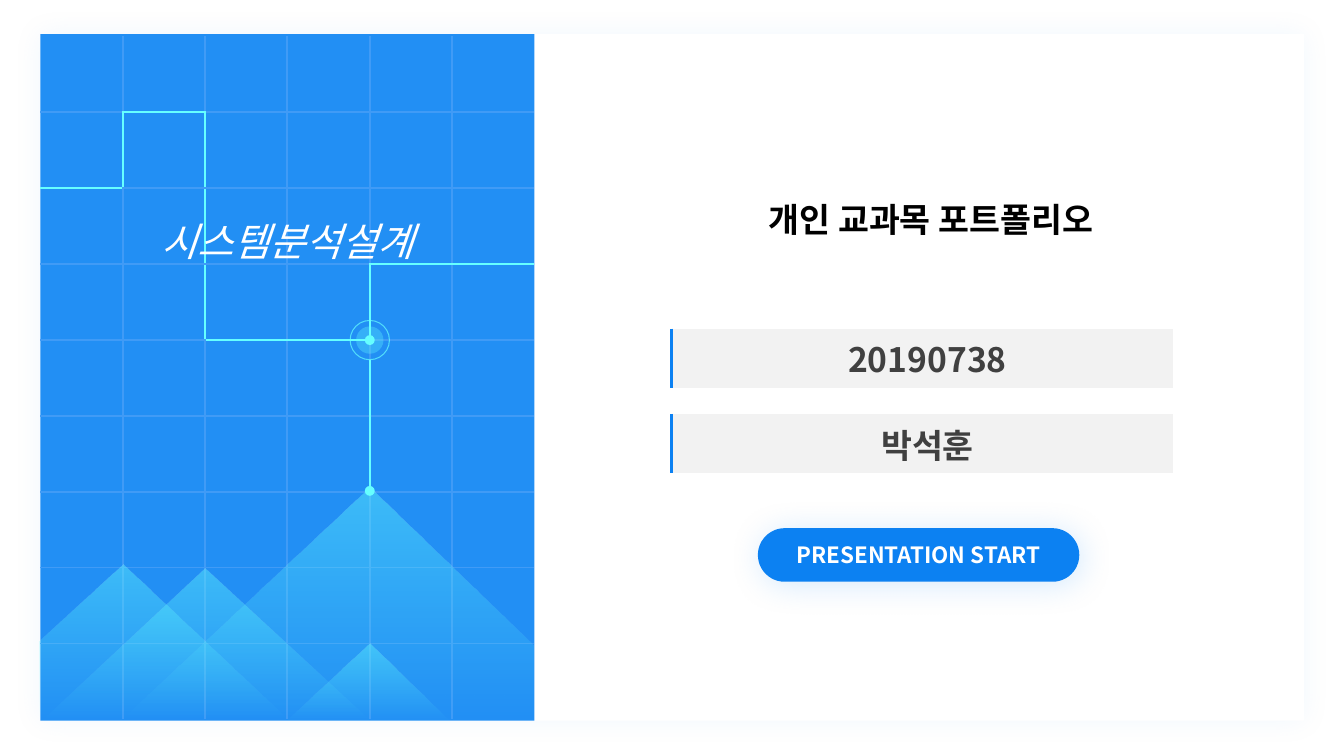
from dataclasses import dataclass
from pptx import Presentation as Deck
from pptx.dml.color import RGBColor as Rgb
from pptx.enum.shapes import MSO_CONNECTOR as Link, MSO_SHAPE as Kind
from pptx.enum.text import MSO_ANCHOR as Anchor, MSO_AUTO_SIZE as Fit, PP_ALIGN as Align
from pptx.oxml import parse_xml as to_xml
from pptx.oxml.ns import nsdecls as spaces, qn
from pptx.util import Cm, Pt


@dataclass(frozen=True)
class Theme:
    font: str = "Noto Sans CJK KR"
    white: str = "FFFFFF"
    black: str = "000000"
    ink: str = "404040"
    pale: str = "F2F2F2"
    blue: str = "0C81F2"
    panel: str = "228FF4"
    mesh: str = "409BF6"
    glow: str = "66FFFF"
    big: int = 28
    mid: int = 24
    small: int = 16
    plain: str = "{2D5ABB26-0587-4C30-8999-92F81FD0307C}"


def tint(color, alpha):
    return f'<a:srgbClr val="{color}"><a:alpha val="{alpha * 1000}"/></a:srgbClr>'


class Pen:
    def __init__(self, slide, theme):
        self.slide = slide
        self.shapes = slide.shapes
        self.theme = theme

    def node(self, tag, body="", **attrs):
        pairs = "".join(f' {key}="{val}"' for key, val in attrs.items())
        return to_xml(f'<a:{tag} {spaces("a")}{pairs}>{body}</a:{tag}>')

    def fade(self, fill, alpha):
        color = fill._xPr.find(".//" + qn("a:srgbClr"))
        color.append(self.node("alpha", val=alpha * 1000))

    def shape(self, kind, x, y, w, h, fill=None, line=None, alpha=100):
        item = self.shapes.add_shape(kind, Cm(x), Cm(y), Cm(w), Cm(h))
        item.shadow.inherit = False
        if fill:
            item.fill.solid()
            item.fill.fore_color.rgb = Rgb.from_string(fill)
            self.fade(item.fill, alpha)
        else:
            item.fill.background()
        if line:
            item.line.width = Pt(0.75)
            item.line.color.rgb = Rgb.from_string(line)
            self.fade(item.line.fill, alpha)
        else:
            item.line.fill.background()
        return item

    def disc(self, x, y, size, **look):
        return self.shape(Kind.OVAL, x - size / 2, y - size / 2, size, size, **look)

    def shade(self, item, alpha, blur, dist=0, angle=0):
        effects = item._element.spPr.find(qn("a:effectLst"))
        effects.append(self.node(
            "outerShdw", tint(self.theme.blue, alpha), blurRad=Pt(blur),
            dist=Pt(dist), dir=angle * 60000, algn="ctr", rotWithShape=0))

    def label(self, frame, words, size, color, bold=False, slant=False):
        para = frame.paragraphs[0]
        para.alignment = Align.CENTER
        run = para.add_run()
        run.text = words
        font = run.font
        font.size, font.bold, font.italic = Pt(size), bold, slant
        font.color.rgb = Rgb.from_string(color)
        font.name = self.theme.font
        font._rPr.append(self.node("ea", typeface=self.theme.font))
        return para

    def text(self, x, y, w, h, words, size, color, **look):
        frame = self.shapes.add_textbox(Cm(x), Cm(y), Cm(w), Cm(h)).text_frame
        frame.word_wrap = True
        frame.auto_size = Fit.SHAPE_TO_FIT_TEXT
        return self.label(frame, words, size, color, **look)

    def line(self, x1, y1, x2, y2, color):
        item = self.shapes.add_connector(Link.STRAIGHT, Cm(x1), Cm(y1), Cm(x2), Cm(y2))
        item.line.width = Pt(1.5)
        item.line.color.rgb = Rgb.from_string(color)
        item._element.spPr.append(self.node("effectLst"))

    def peak(self, *points):
        first, *rest = [(Cm(x), Cm(y)) for x, y in points]
        outline = self.shapes.build_freeform(*first)
        outline.add_line_segments(rest, close=True)
        item = outline.convert_to_shape()
        item.shadow.inherit = False
        item.line.fill.background()
        item.fill.gradient()
        item.fill.gradient_angle = 270
        stops = item._element.spPr.find(".//" + qn("a:gsLst"))
        for stop, alpha in zip(list(stops), (41, 0)):
            stops.replace(stop, self.node(
                "gs", tint(self.theme.glow, alpha), pos=0 if alpha else 100000))

    def table(self, x, y, cols, rows):
        grid = self.shapes.add_table(len(rows), len(cols), Cm(x), Cm(y),
                                     Cm(sum(cols)), Cm(sum(rows))).table
        grid.first_row = grid.horz_banding = False
        grid._tbl.tblPr.find(qn("a:tableStyleId")).text = self.theme.plain
        for col, width in zip(grid.columns, cols):
            col.width = Cm(width)
        for row, height in zip(grid.rows, rows):
            row.height = Cm(height)
        for cell in grid.iter_cells():
            cell.fill.background()
            cell.margin_top = cell.margin_bottom = 0
            end = self.node("endParaRPr", sz=800)
            cell.text_frame.paragraphs[0]._p.append(end)
        return grid

    def edge(self, cell, sides, width):
        props = cell._tc.get_or_add_tcPr()
        drawn = [(side, sides[side]) for side in "LRTB" if sides.get(side)]
        for spot, (side, color) in enumerate(drawn):
            body = f'<a:solidFill><a:srgbClr val="{color}"/></a:solidFill>'
            props.insert(spot, self.node("ln" + side, body, w=Pt(width)))

    def mesh(self, x, y, w, h, cols, rows, flat, tall):
        look = self.theme
        grid = self.table(x, y, [w / cols] * cols, [h / rows] * rows)

        def tone(spot, lit, last):
            if 0 < spot[0] < last:
                return look.glow if spot in lit else look.mesh

        for r in range(rows):
            for c in range(cols):
                self.edge(grid.cell(r, c), {
                    "L": tone((c, r), tall, cols), "R": tone((c + 1, r), tall, cols),
                    "T": tone((r, c), flat, rows), "B": tone((r + 1, c), flat, rows)}, 1.5)

    def fields(self, x, y, width, rows, words):
        look = self.theme
        grid = self.table(x, y, [width], rows)
        for row, label in words.items():
            cell = grid.cell(row, 0)
            cell.fill.solid()
            cell.fill.fore_color.rgb = Rgb.from_string(look.pale)
            cell.vertical_anchor = Anchor.MIDDLE
            cell.margin_left = Cm(0.51)
            cell.margin_top = cell.margin_bottom = Cm(0.13)
            para = self.label(cell.text_frame, label, look.mid, look.ink, bold=True)
            para._p.append(para._p.find(qn("a:endParaRPr")))
            self.edge(cell, {"L": look.blue}, 3)


theme = Theme()
deck = Deck()
deck.slide_width, deck.slide_height = Cm(33.87), Cm(19.05)
pen = Pen(deck.slides.add_slide(deck.slide_layouts[6]), theme)

left, wide = 1.02, 12.45
card = pen.shape(Kind.RECTANGLE, left, 0.86, 31.85, 17.3, fill=theme.white)
pen.shade(card, 5, 20)
pen.shape(Kind.RECTANGLE, left, 0.86, wide, 17.3, fill=theme.panel)

pen.fields(16.92, 8.28, 12.65, [1.42, 0.66, 1.37], {0: "20190738", 2: "박석훈"})

button = pen.shape(Kind.ROUNDED_RECTANGLE, 19.1, 13.31, 8.1, 1.35, fill=theme.blue)
button.adjustments[0] = 0.5
pen.shade(button, 17, 24, 3, 45)
button.text_frame.vertical_anchor = Anchor.MIDDLE
pen.label(button.text_frame, "PRESENTATION START", theme.small, theme.white, bold=True)

pen.mesh(left, 0.91, wide, 17.22, 6, 9,
         flat={(1, 1), (2, 0), (3, 4), (3, 5), (4, 2), (4, 3)},
         tall={(1, 1), (2, 1), (2, 2), (2, 3), (4, 3)})

pen.text(left, 5.36, wide, 1.45, "시스템분석설계", theme.big, theme.white, slant=True)
title = pen.text(17.35, 4.37, 12.22, 1.6, "개인 교과목 포트폴리오",
                 theme.mid, theme.black, bold=True)
title.line_spacing = 1.5

hub, node, top = 9.32, 8.57, 12.37
pen.disc(hub, node, 0.69, fill=theme.glow, alpha=30)
pen.disc(hub, node, 0.99, line=theme.glow, alpha=70)
pen.line(hub, 9.07, hub, 12.29, theme.glow)
pen.disc(hub, node, 0.25, fill=theme.glow)

pen.peak((0.99, 18.11), (0.99, 16.15), (3.1, 14.22), (7.29, 18.16))
pen.peak((3.05, 18.16), (hub, 12.29), (13.44, 16.26), (13.44, 18.14))
pen.peak((left, 18.19), (5.16, 14.33), (9.35, 18.19))
pen.peak((7.21, 18.16), (hub, 16.21), (11.38, 18.21))
pen.disc(hub, top, 0.25, fill=theme.glow)

deck.save("out.pptx")
